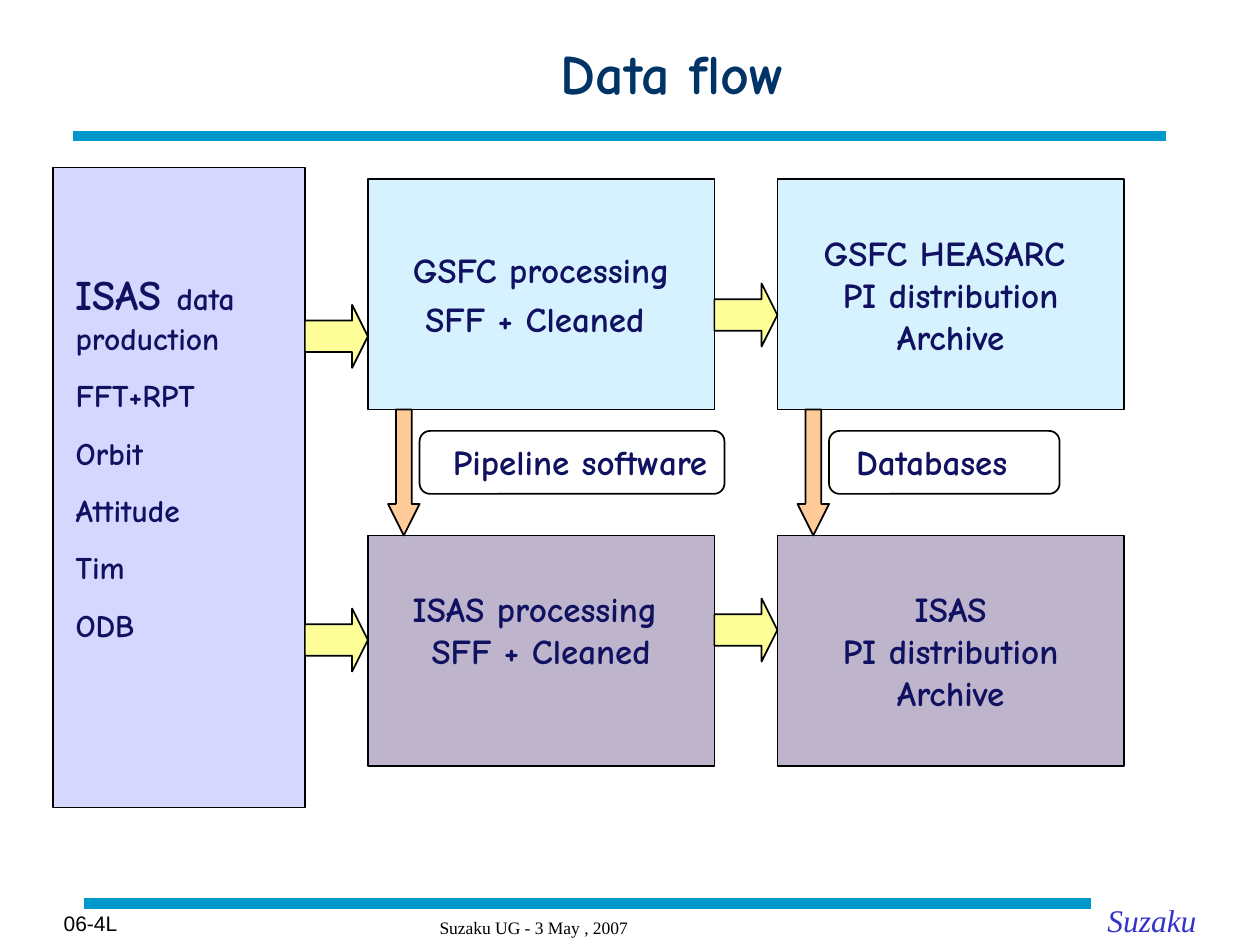
from pptx import Presentation
from pptx.dml.color import RGBColor
from pptx.enum.shapes import MSO_CONNECTOR, MSO_SHAPE as Shape
from pptx.enum.text import MSO_ANCHOR as Anchor, PP_ALIGN as Align
from pptx.oxml.ns import qn
from pptx.util import Inches, Pt

BODY, SERIF = "Comic Neue", "Times New Roman"
NAVY, BLACK = "101161", "000000"
SKY, MAUVE, LILAC, YELLOW, ORANGE = "D7F2FF", "BEB5CC", "D5D7FF", "FFFF99", "FFCC99"

PRODUCTS = ["data production", "FFT+RPT", "Orbit", "Attitude", "Tim", "ODB"]

# column, row, lines, space before later lines (pt), bottom inset
STAGES = [
    (0, 0, ["GSFC processing", "SFF + Cleaned "], 4, 0.05),
    (1, 0, ["GSFC HEASARC ", "PI distribution", "Archive"], 0, 0.05),
    (0, 1, ["ISAS processing ", "SFF + Cleaned"], 0, 0.39),
    (1, 1, ["ISAS", "PI distribution", "Archive"], 0, 0.05),
]
ROW_FILLS = [SKY, MAUVE]
COLUMNS, ROWS = [2.92, 6.17], [1.42, 4.25]
STAGE_WIDTH, STAGE_HEIGHT = 2.75, 1.83

# tops of the arrows leading into each column
RIGHT_ARROWS = [(2.42, 4.83), (2.25, 4.75)]
ARROW_SIZE = 0.5

# text, width and left inset of the label beside each down arrow
LABELS = [("Pipeline software", 2.42, 0.24), ("Databases", 1.83, 0.19)]

# text, box, font, size, colour, alignment, anchor, bold, italic
TEXTS = [
    ("Data flow ", (1.5, 0.24, 7.84, 0.67), BODY, 32, "003366",
     Align.CENTER, Anchor.MIDDLE, True, False),
    ("06-4L", (0.2, 7.18, 0.83, 0.3), "Arial", 12, BLACK,
     Align.RIGHT, Anchor.MIDDLE, False, False),
    ("Suzaku", (8.69, 7.1, 1.1, 0.4), SERIF, 18, "3333CC",
     Align.LEFT, Anchor.TOP, False, True),
    ("Suzaku UG - 3 May , 2007", (3.39, 7.23, 1.9, 0.26), SERIF, 10, BLACK,
     Align.LEFT, Anchor.TOP, False, False),
]
RULES = [(0.58, 9.25, 1.08), (0.67, 8.66, 7.17)]


def color(value):
    return RGBColor.from_string(value)


def set_font(font, size, name=BODY, value=NAVY, bold=True, italic=False):
    font.name, font.size = name, Pt(size)
    font.bold, font.italic = bold, italic
    font.color.rgb = color(value)


def set_frame(frame, anchor, insets=(0.1, 0.05, 0.1, 0.05)):
    frame.word_wrap = True
    frame.vertical_anchor = anchor
    frame.margin_left, frame.margin_top, frame.margin_right, frame.margin_bottom = map(Inches, insets)


def write_lines(frame, lines, size, align, gap=0):
    """Fill the frame with one paragraph per line, gap points apart."""
    for index, line in enumerate(lines):
        paragraph = frame.paragraphs[0] if index == 0 else frame.add_paragraph()
        paragraph.alignment = align
        paragraph.add_run().text = line
        if index and gap:
            paragraph.space_before = Pt(gap)
        set_font(paragraph.font, size)


def add_shape(slide, kind, box, fill=None, adjustments=()):
    shape = slide.shapes.add_shape(kind, *map(Inches, box))
    shape.shadow.inherit = False
    if fill:
        shape.fill.solid()
        shape.fill.fore_color.rgb = color(fill)
    else:
        shape.fill.background()
    shape.line.color.rgb = color(BLACK)
    shape.line.width = Pt(1)
    for index, value in enumerate(adjustments):
        shape.adjustments[index] = value
    return shape


def add_rule(slide, left, right, y):
    rule = slide.shapes.add_connector(
        MSO_CONNECTOR.STRAIGHT, Inches(left), Inches(y), Inches(right), Inches(y))
    rule.line.color.rgb = color("0099CC")
    rule.line.width = Pt(6)
    properties = rule.element.spPr
    properties.append(properties.makeelement(qn("a:effectLst"), {}))


def add_text(slide, text, box, name, size, value, align, anchor, bold, italic):
    frame = slide.shapes.add_textbox(*map(Inches, box)).text_frame
    set_frame(frame, anchor)
    paragraph = frame.paragraphs[0]
    paragraph.text = text
    paragraph.alignment = align
    set_font(paragraph.font, size, name, value, bold, italic)


def add_production(slide):
    frame = add_shape(slide, Shape.RECTANGLE, (0.42, 1.33, 2, 5.08), LILAC).text_frame
    set_frame(frame, Anchor.TOP, (0.18, 0.8, 0.19, 0.05))
    write_lines(frame, ["ISAS "] + PRODUCTS[1:], 18, Align.LEFT, 11.2)
    heading = frame.paragraphs[0]
    heading.runs[0].font.size = Pt(24)
    heading.add_run().text = PRODUCTS[0]


def add_stages(slide):
    for column, row, lines, gap, bottom in STAGES:
        box = (COLUMNS[column], ROWS[row], STAGE_WIDTH, STAGE_HEIGHT)
        frame = add_shape(slide, Shape.RECTANGLE, box, ROW_FILLS[row]).text_frame
        set_frame(frame, Anchor.MIDDLE, (0.1, 0.05, 0.1, bottom))
        write_lines(frame, lines, 20, Align.CENTER, gap)


def add_flows(slide):
    gap_top = ROWS[0] + STAGE_HEIGHT
    for left, tops, (label, width, inset) in zip(COLUMNS, RIGHT_ARROWS, LABELS):
        for top in tops:
            add_shape(slide, Shape.RIGHT_ARROW,
                      (left - ARROW_SIZE, top, ARROW_SIZE, ARROW_SIZE), YELLOW, (0.5, 0.25))
        add_shape(slide, Shape.DOWN_ARROW,
                  (left + 0.16, gap_top, 0.25, ROWS[1] - gap_top), ORANGE, (0.5, 1))
        frame = add_shape(slide, Shape.ROUNDED_RECTANGLE,
                          (left + 0.41, gap_top + 0.17, width, 0.5), None, (0.167,)).text_frame
        set_frame(frame, Anchor.TOP, (inset, 0.05, 0.05, 0.05))
        write_lines(frame, [label], 20, Align.LEFT)


def main():
    presentation = Presentation()
    presentation.slide_width, presentation.slide_height = Inches(10), Inches(7.5)
    slide = presentation.slides.add_slide(presentation.slide_layouts[6])
    for rule in RULES:
        add_rule(slide, *rule)
    for text in TEXTS:
        add_text(slide, *text)
    add_production(slide)
    add_stages(slide)
    add_flows(slide)
    presentation.save("out.pptx")


if __name__ == "__main__":
    main()
